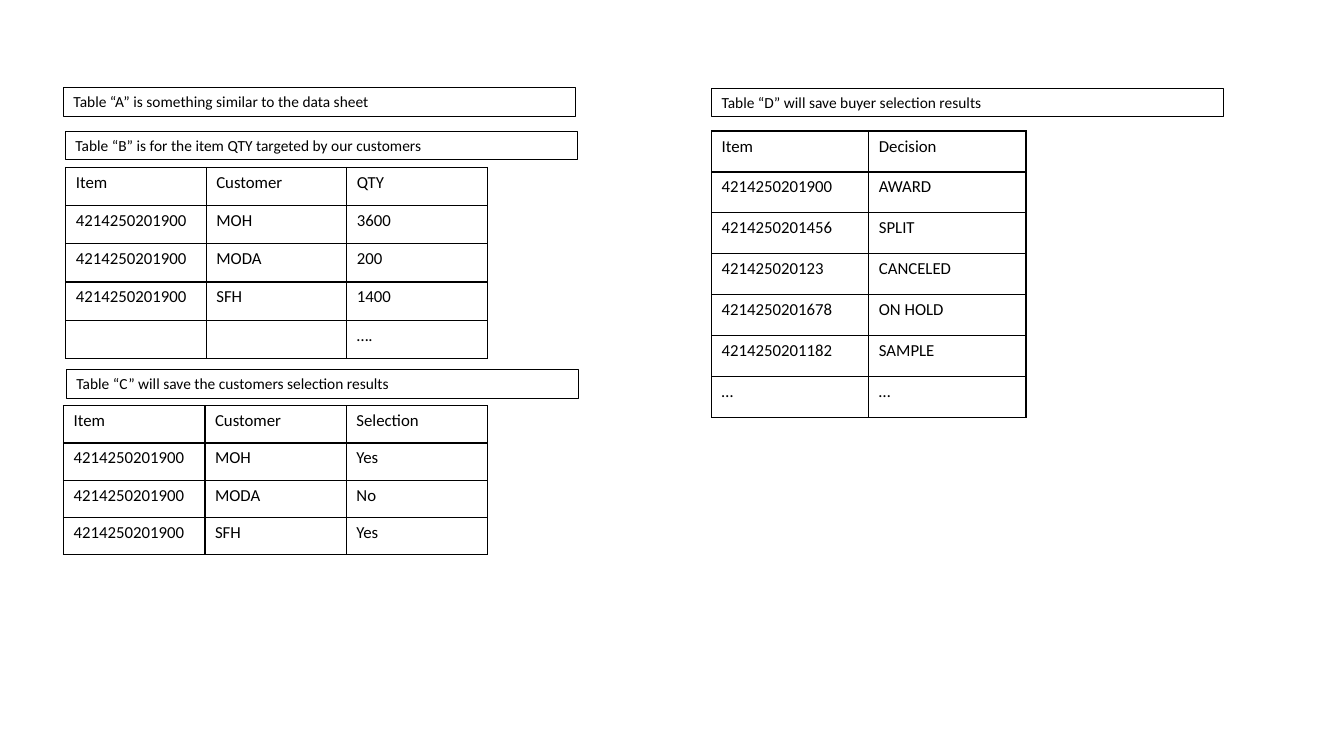
from pptx import Presentation
from pptx.dml.color import RGBColor
from pptx.enum.text import MSO_AUTO_SIZE as Auto
from pptx.oxml import parse_xml
from pptx.oxml.ns import nsdecls, qn
from pptx.util import Pt
from lxml.etree import SubElement

INK = "000000"
FACE = "Calibri"
ITEM = "4214250201900"

NOTES = [
    ("Table “A” is something similar to the data sheet", 45.4, 62.6),
    ("Table “B” is for the item QTY targeted by our customers", 46.8, 93.6),
    ("Table “C” will save the customers selection results", 47.5, 263.9),
    ("Table “D” will save buyer selection results", 508.3, 62.9),
]

TARGET = [
    ("Item", "Customer", "QTY"),
    (ITEM, "MOH", "3600"),
    (ITEM, "MODA", "200"),
    (ITEM, "SFH", "1400"),
    ("", "", "…."),
]
CHOICE = [
    ("Item", "Customer", "Selection"),
    (ITEM, "MOH", "Yes"),
    (ITEM, "MODA", "No"),
    (ITEM, "SFH", "Yes"),
]
RESULT = [
    ("Item", "Decision"),
    (ITEM, "AWARD"),
    ("4214250201456", "SPLIT"),
    ("421425020123", "CANCELED"),
    ("4214250201678", "ON HOLD"),
    ("4214250201182", "SAMPLE"),
    ("…", "…"),
]
GRIDS = [
    (TARGET, 47, 119.7, 301, 136.3),
    (CHOICE, 45.4, 289.8, 303, 106.3),
    (RESULT, 508.3, 93.6, 224.6, 204.5),
]


def color(code):
    return RGBColor.from_string(code)


def style(para, size):
    for run in para.runs:
        run.font.name = FACE
        run.font.size = Pt(size)
        run.font.color.rgb = color(INK)
    if not para.runs:
        SubElement(para._p, qn("a:endParaRPr"), sz=str(size * 100))


def border(cell):
    props = cell._tc.get_or_add_tcPr()
    for side in "LRTB":
        props.append(parse_xml(
            f'<a:ln{side} {nsdecls("a")} w="{Pt(1)}"><a:solidFill>'
            f'<a:srgbClr val="{INK}"/></a:solidFill></a:ln{side}>'))


def add_note(slide, text, left, top):
    box = slide.shapes.add_textbox(Pt(left), Pt(top), Pt(366), Pt(20.6))
    box.line.color.rgb = color(INK)
    box.line.width = Pt(0.75)
    frame = box.text_frame
    frame.word_wrap = True
    frame.auto_size = Auto.SHAPE_TO_FIT_TEXT
    frame.text = text
    style(frame.paragraphs[0], 11)


def add_grid(slide, data, left, top, width, height):
    rows, cols = len(data), len(data[0])
    table = slide.shapes.add_table(
        rows, cols, Pt(left), Pt(top), Pt(width), Pt(height)).table
    table.first_row = table.horz_banding = False
    for cell, text in zip(table.iter_cells(), sum(data, ())):
        cell.text = text
        style(cell.text_frame.paragraphs[0], 12)
        border(cell)
        cell.fill.background()


deck = Presentation()
deck.slide_width, deck.slide_height = Pt(960), Pt(540)
slide = deck.slides.add_slide(deck.slide_layouts[6])
for note in NOTES:
    add_note(slide, *note)
for grid in GRIDS:
    add_grid(slide, *grid)
deck.save("out.pptx")
